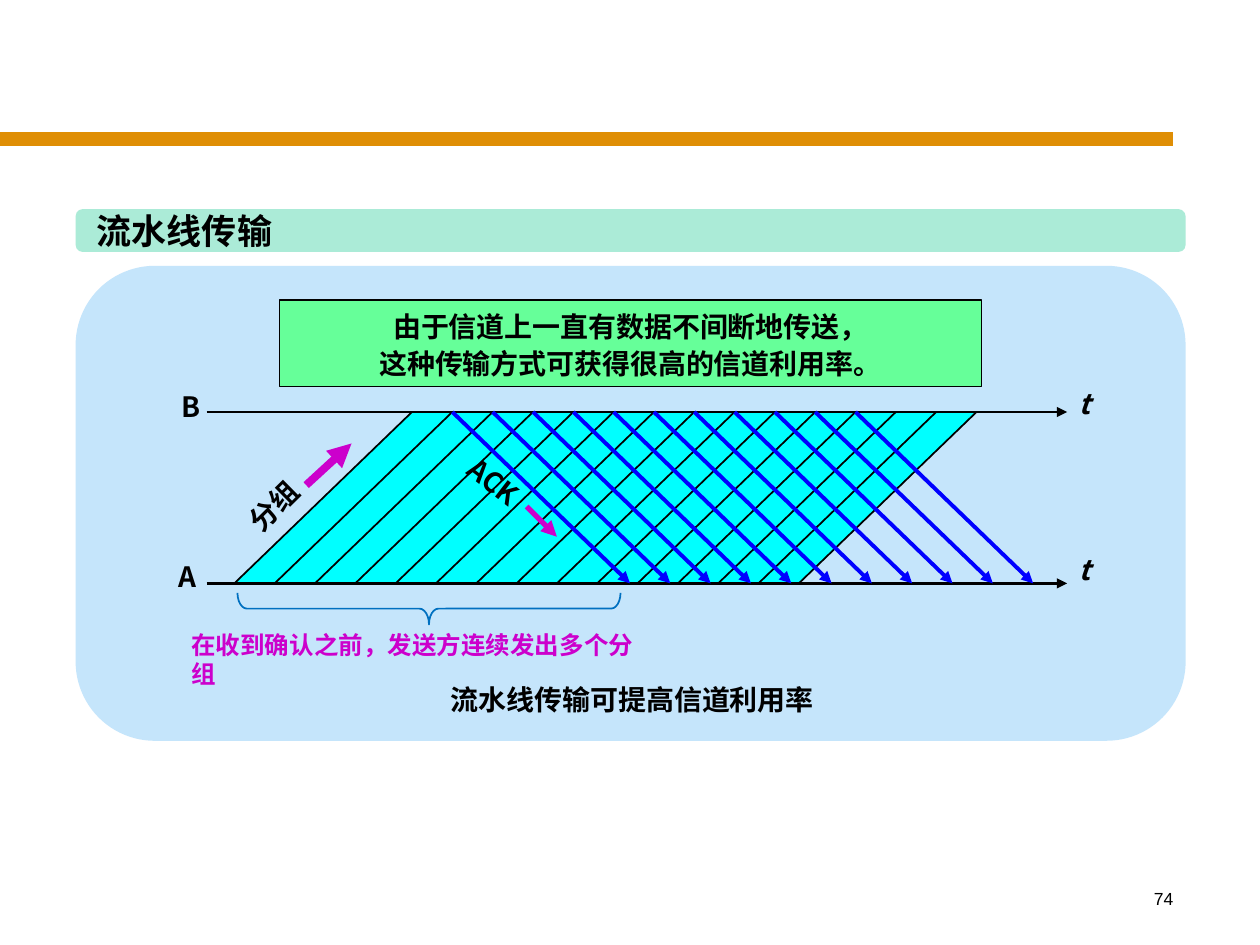
from typing import NamedTuple

from lxml import etree
from pptx import Presentation
from pptx.dml.color import RGBColor
from pptx.enum.shapes import MSO_CONNECTOR, MSO_SHAPE
from pptx.enum.text import MSO_ANCHOR, PP_ALIGN
from pptx.oxml.ns import qn
from pptx.util import Inches, Pt

STRAIGHT = MSO_CONNECTOR.STRAIGHT
RECTANGLE, ROUNDED = MSO_SHAPE.RECTANGLE, MSO_SHAPE.ROUNDED_RECTANGLE
LEFT_BRACE = MSO_SHAPE.LEFT_BRACE
LEFT, CENTER, RIGHT = PP_ALIGN.LEFT, PP_ALIGN.CENTER, PP_ALIGN.RIGHT
TOP, MIDDLE = MSO_ANCHOR.TOP, MSO_ANCHOR.MIDDLE

BLACK = RGBColor(0x00, 0x00, 0x00)
ORANGE = RGBColor(0xDF, 0x8E, 0x05)
MINT = RGBColor(0xAB, 0xEB, 0xD7)
PALE_BLUE = RGBColor(0xC5, 0xE5, 0xFB)
GREEN = RGBColor(0x66, 0xFF, 0x99)
CYAN = RGBColor(0x00, 0xFF, 0xFF)
BLUE = RGBColor(0x00, 0x00, 0xFF)
MAGENTA = RGBColor(0xCC, 0x00, 0xCC)
BRACE_BLUE = RGBColor(0x00, 0x70, 0xC0)

CJK = "Noto Sans CJK SC"

# Time axes of sender A and receiver B, and the slanted messages between them
AXIS_B, AXIS_A = 3.27, 4.63
AXIS_START, AXIS_END = 1.64, 8.47
TRAVEL = 1.41
SPACING = 0.32
FIRST_PACKET, PACKET_COUNT = 1.86, 15
FIRST_ACK, ACK_COUNT = 3.59, 11


class Label(NamedTuple):
    text: str
    left: float
    top: float
    width: float
    height: float
    size: int = 16
    color: RGBColor = BLACK
    align: PP_ALIGN = LEFT
    rotation: float = 0
    wrap: bool = False
    italic: bool = False
    bold: bool = True
    font: str = CJK


class Line(NamedTuple):
    x1: float
    y1: float
    x2: float
    y2: float
    color: RGBColor
    weight: float
    arrow: bool = False


LABELS = [
    Label("B", 1.34, 3.04, 0.35, 0.37),
    Label("A", 1.32, 4.39, 0.37, 0.37),
    Label("t", 8.46, 3.02, 0.29, 0.37, italic=True),
    Label("t", 8.46, 4.34, 0.29, 0.37, italic=True),
    Label("分组", 1.85, 3.83, 0.64, 0.37, rotation=315.3),
    Label("ACK", 3.6, 3.65, 0.67, 0.37, rotation=37.8),
    Label("流水线传输可提高信道利用率", 1.43, 5.37, 7.18, 0.37, align=CENTER, wrap=True),
    Label("在收到确认之前，发送方连续发出多个分组", 1.42, 4.95, 3.89, 0.34,
          size=14, color=MAGENTA, wrap=True),
]


def add_run(paragraph, text: str, size: int, color: RGBColor = BLACK,
            bold: bool = True, italic: bool = False, name: str = CJK) -> None:
    run = paragraph.add_run()
    run.text = text
    font = run.font
    font.size, font.bold, font.italic, font.name = Pt(size), bold, italic, name
    font.color.rgb = color
    etree.SubElement(run._r.get_or_add_rPr(), qn("a:ea"), typeface=name)


def add_label(shapes, label: Label) -> None:
    box = shapes.add_textbox(Inches(label.left), Inches(label.top),
                             Inches(label.width), Inches(label.height))
    box.rotation = label.rotation
    frame = box.text_frame
    frame.word_wrap = label.wrap
    frame.vertical_anchor = TOP
    paragraph = frame.paragraphs[0]
    paragraph.alignment = label.align
    add_run(paragraph, label.text, label.size, label.color,
            label.bold, label.italic, label.font)


def add_line(shapes, line: Line) -> None:
    connector = shapes.add_connector(STRAIGHT, Inches(line.x1), Inches(line.y1),
                                     Inches(line.x2), Inches(line.y2))
    connector.line.color.rgb = line.color
    connector.line.width = Pt(line.weight)
    if line.arrow:
        etree.SubElement(connector.line._get_or_add_ln(), qn("a:tailEnd"), type="triangle")
    etree.SubElement(connector._element.spPr, qn("a:effectLst"))


def add_panel(shapes, kind: MSO_SHAPE, left: float, top: float,
              width: float, height: float, fill: RGBColor):
    panel = shapes.add_shape(kind, Inches(left), Inches(top), Inches(width), Inches(height))
    panel.shadow.inherit = False
    panel.fill.solid()
    panel.fill.fore_color.rgb = fill
    panel.line.fill.background()
    return panel


def add_conclusion(shapes) -> None:
    box = add_panel(shapes, RECTANGLE, 2.22, 2.38, 5.57, 0.69, GREEN)
    box.line.color.rgb = BLACK
    box.line.width = Pt(0.75)
    frame = box.text_frame
    frame.word_wrap = True
    frame.vertical_anchor = MIDDLE
    sentences = ["由于信道上一直有数据不间断地传送，", "这种传输方式可获得很高的信道利用率。"]
    for i, sentence in enumerate(sentences):
        paragraph = frame.add_paragraph() if i else frame.paragraphs[0]
        paragraph.alignment = CENTER
        paragraph.line_spacing = 1.1
        add_run(paragraph, sentence, 16)


def add_packet_band(shapes) -> None:
    last_packet = FIRST_PACKET + (PACKET_COUNT - 1) * SPACING
    corners = [(FIRST_PACKET + TRAVEL, AXIS_B), (last_packet + TRAVEL, AXIS_B),
               (last_packet, AXIS_A)]
    builder = shapes.build_freeform(Inches(FIRST_PACKET), Inches(AXIS_A))
    builder.add_line_segments([(Inches(x), Inches(y)) for x, y in corners], close=True)
    band = builder.convert_to_shape()
    band.shadow.inherit = False
    band.fill.solid()
    band.fill.fore_color.rgb = CYAN
    band.line.fill.background()


def add_brace(shapes) -> None:
    brace = shapes.add_shape(LEFT_BRACE, Inches(3.28), Inches(3.31), Inches(0.25), Inches(3.04))
    brace.rotation = 270
    brace.adjustments[0] = 0.3
    brace.shadow.inherit = False
    brace.fill.background()
    brace.line.color.rgb = BRACE_BLUE
    brace.line.width = Pt(1)


def main() -> None:
    prs = Presentation()
    prs.slide_width, prs.slide_height = Inches(10), Inches(7.5)
    shapes = prs.slides.add_slide(prs.slide_layouts[6]).shapes

    # Page furniture, heading bar and background panel
    add_line(shapes, Line(0, 1.1, 9.31, 1.1, ORANGE, 8))
    add_label(shapes, Label("74", 7.33, 7, 2.08, 0.5, size=10, align=RIGHT,
                            wrap=True, bold=False, font="Arial"))
    add_panel(shapes, ROUNDED, 0.6, 1.66, 8.81, 0.34, MINT)
    add_label(shapes, Label("流水线传输", 0.67, 1.61, 1.59, 0.44, size=20))
    add_panel(shapes, ROUNDED, 0.6, 2.11, 8.81, 3.77, PALE_BLUE)
    add_conclusion(shapes)

    # Packets going up from A to B, acknowledgements coming back
    add_packet_band(shapes)
    for y in (AXIS_A, AXIS_B):
        add_line(shapes, Line(AXIS_START, y, AXIS_END, y, BLACK, 1.5, arrow=True))
    for i in range(PACKET_COUNT):
        x = FIRST_PACKET + i * SPACING
        add_line(shapes, Line(x, AXIS_A, x + TRAVEL, AXIS_B, BLACK, 1))
    for i in range(ACK_COUNT):
        x = FIRST_ACK + i * SPACING
        add_line(shapes, Line(x, AXIS_B, x + TRAVEL, AXIS_A, BLUE, 2.25, arrow=True))

    # Direction arrows, brace and labels
    add_line(shapes, Line(2.43, 3.85, 2.79, 3.52, MAGENTA, 4.5, arrow=True))
    add_line(shapes, Line(4.18, 4.02, 4.42, 4.26, MAGENTA, 3, arrow=True))
    add_brace(shapes)
    for label in LABELS:
        add_label(shapes, label)

    prs.save("out.pptx")


if __name__ == "__main__":
    main()
